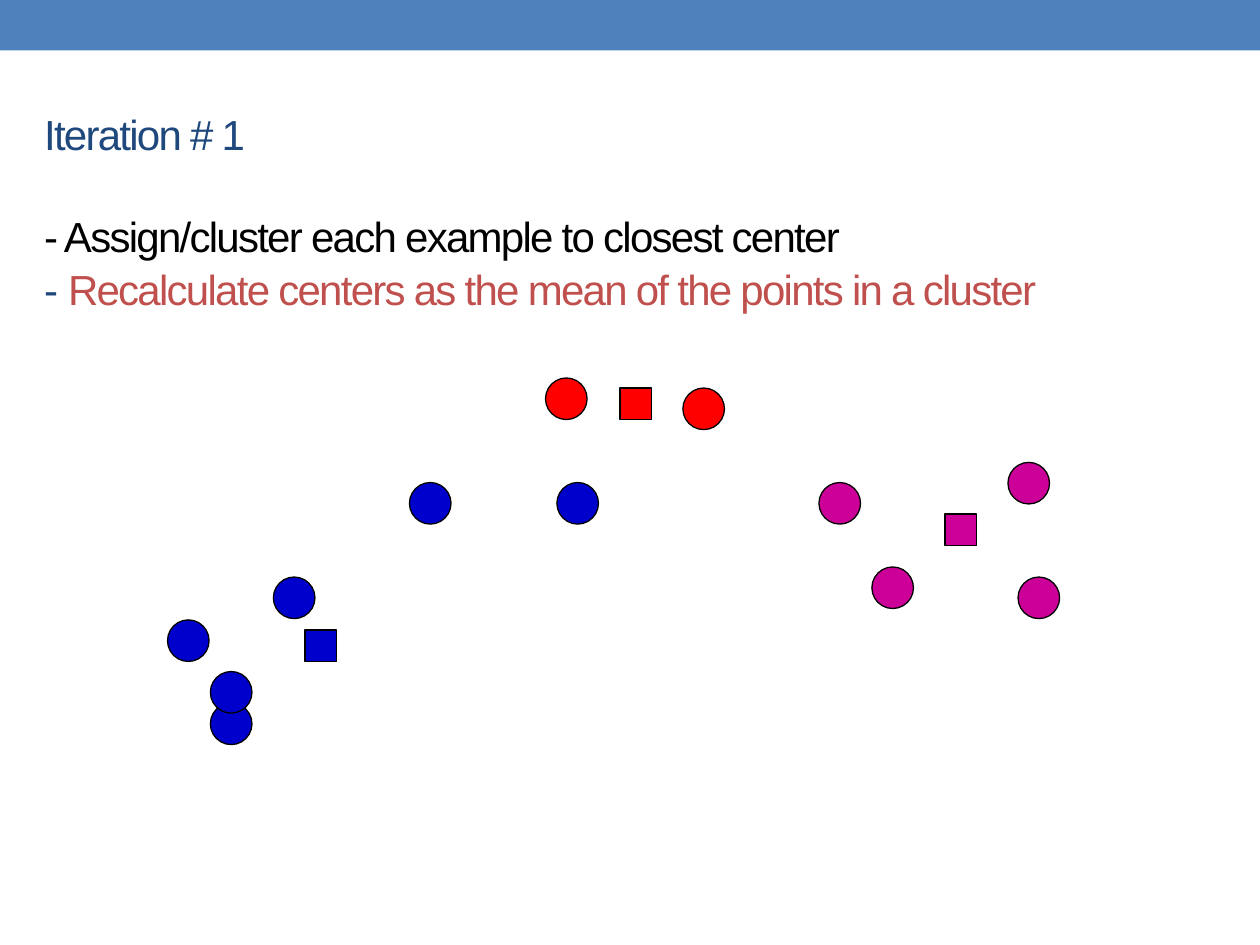
"""Build the slide on the first k-means iteration: three clusters and their centers."""
from pptx import Presentation
from pptx.dml.color import RGBColor
from pptx.enum.shapes import MSO_SHAPE
from pptx.enum.text import MSO_ANCHOR, MSO_AUTO_SIZE, PP_ALIGN
from pptx.util import Inches, Pt

OVAL, RECT = MSO_SHAPE.OVAL, MSO_SHAPE.RECTANGLE
LEFT, MIDDLE, NO_FIT = PP_ALIGN.LEFT, MSO_ANCHOR.MIDDLE, MSO_AUTO_SIZE.NONE
BAR = RGBColor(0x4F, 0x81, 0xBD)
NAVY = RGBColor(0x1F, 0x49, 0x7D)
BRICK = RGBColor(0xC0, 0x50, 0x4D)
BLACK = RGBColor(0, 0, 0)
BLUE = RGBColor(0, 0, 0xCC)
RED = RGBColor(0xFF, 0, 0)
PINK = RGBColor(0xCC, 0, 0x99)
DOT, CENTER = 0.33, 0.25

LINES = [
    (0, [("Iteration # 1", NAVY)]),
    (28.8, [("- Assign/cluster each example to closest center", BLACK)]),
    (0, [("- ", NAVY),
         ("Recalculate centers as the mean of the points in a cluster", BRICK)]),
]
CLUSTERS = [
    (BLUE, (2.42, 5), [(1.67, 5.58), (1.33, 4.92), (2.17, 4.58),
                       (4.42, 3.83), (3.25, 3.83), (1.67, 5.33)]),
    (RED, (4.92, 3.08), [(4.33, 3), (5.42, 3.08)]),
    (PINK, (7.5, 4.08), [(8, 3.67), (8.08, 4.58), (6.5, 3.83), (6.92, 4.5)]),
]


def add_mark(kind, x, y, wide, high, color):
    mark = slide.shapes.add_shape(kind, Inches(x), Inches(y), Inches(wide), Inches(high))
    mark.shadow.inherit = False
    mark.fill.solid()
    mark.fill.fore_color.rgb = color
    mark.line.color.rgb = BLACK
    mark.line.width = Pt(0.75)
    return mark


deck = Presentation()
deck.slide_width, deck.slide_height = Inches(10), Inches(7.5)
slide = deck.slides.add_slide(deck.slide_layouts[5])

add_mark(RECT, 0, 0, 10, 0.4, BAR).line.fill.background()

title = slide.shapes.title
place = {"left": 0.25, "top": 0.83, "width": 9, "height": 1.67}
for name, value in place.items():
    setattr(title, name, Inches(value))
frame = title.text_frame
look = {"word_wrap": True, "auto_size": NO_FIT, "vertical_anchor": MIDDLE}
for name, value in look.items():
    setattr(frame, name, value)

for row, (gap, parts) in enumerate(LINES):
    para = frame.add_paragraph() if row else frame.paragraphs[0]
    style = {"alignment": LEFT, "line_spacing": 1.04, "space_before": Pt(gap)}
    for name, value in style.items():
        setattr(para, name, value)
    for text, color in parts:
        run = para.add_run()
        run.text = text
        for name, value in {"name": "Arial", "size": Pt(24)}.items():
            setattr(run.font, name, value)
        run.font.color.rgb = color
        run._r.get_or_add_rPr().set("spc", "-100")

for color, center, dots in CLUSTERS:
    for x, y in dots:
        add_mark(OVAL, x, y, DOT, DOT, color)
    add_mark(RECT, *center, CENTER, CENTER, color)

deck.save("out.pptx")
